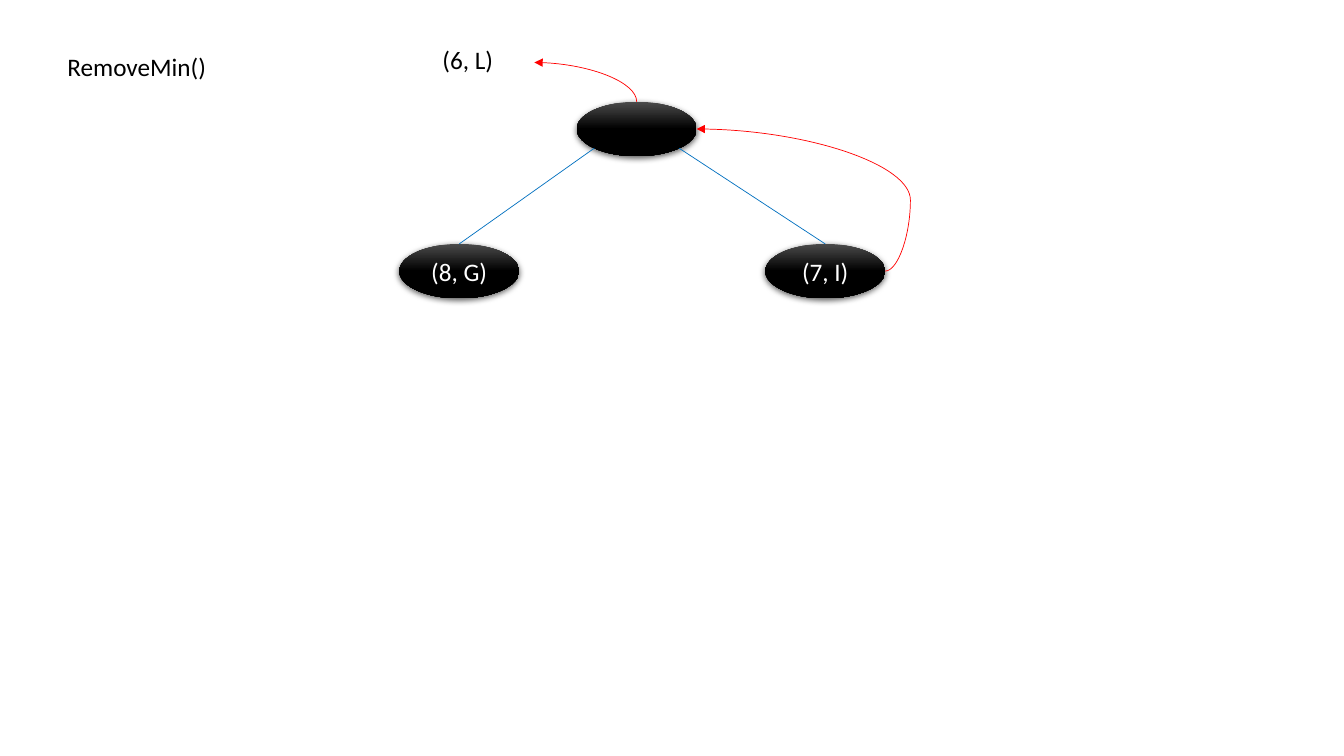
from pptx import Presentation
from pptx.dml.color import RGBColor
from pptx.enum.shapes import MSO_CONNECTOR, MSO_SHAPE
from pptx.enum.text import MSO_ANCHOR, MSO_AUTO_SIZE, PP_ALIGN
from pptx.oxml import parse_xml
from pptx.oxml.ns import nsdecls, qn
from pptx.util import Inches, Pt

COLOURS = {
    "text": "000000",
    "node text": "FFFFFF",
    "node top": "4B4B4B",
    "node": "000000",
    "edge": "0070C0",
    "move": "FF0000",
}
FONT = "Calibri"
NODE_WIDTH, NODE_HEIGHT = 1.19, 0.54


def add_text(text_frame, text, colour):
    """Write one run of text into the first paragraph."""
    run = text_frame.paragraphs[0].add_run()
    run.text = text
    run.font.name = FONT
    run.font.size = Pt(18)
    run.font.color.rgb = RGBColor.from_string(COLOURS[colour])


def add_label(slide, text, left, top, width, wrap):
    """Add a single-line text box."""
    box = slide.shapes.add_textbox(*map(Inches, (left, top, width, 0.4)))
    box.text_frame.word_wrap = wrap
    box.text_frame.auto_size = MSO_AUTO_SIZE.SHAPE_TO_FIT_TEXT
    add_text(box.text_frame, text, "text")


def add_node(slide, left, top, text=""):
    """Add a glossy black ellipse with its entry centred in it."""
    node = slide.shapes.add_shape(
        MSO_SHAPE.OVAL, *map(Inches, (left, top, NODE_WIDTH, NODE_HEIGHT)))
    node.line.fill.background()
    stops = "".join(
        f'<a:gs pos="{position}"><a:srgbClr val="{COLOURS[colour]}"/></a:gs>'
        for position, colour in ((0, "node top"), (50000, "node"), (100000, "node")))
    properties = node._element.spPr
    properties.find(qn("a:ln")).addprevious(parse_xml(
        f'<a:gradFill {nsdecls("a")} rotWithShape="1"><a:gsLst>{stops}</a:gsLst>'
        '<a:lin ang="5400000" scaled="0"/></a:gradFill>'))
    properties.append(parse_xml(
        f'<a:effectLst {nsdecls("a")}><a:outerShdw blurRad="{Pt(4.5)}" dist="{Pt(1.5)}"'
        ' dir="5400000" algn="ctr" rotWithShape="0"><a:srgbClr val="000000">'
        '<a:alpha val="63000"/></a:srgbClr></a:outerShdw></a:effectLst>'))
    if text:
        node.text_frame.vertical_anchor = MSO_ANCHOR.MIDDLE
        node.text_frame.paragraphs[0].alignment = PP_ALIGN.CENTER
        add_text(node.text_frame, text, "node text")


def add_line(slide, kind, start, end, colour):
    """Add a thin connector without shadow."""
    line = slide.shapes.add_connector(kind, *map(Inches, (*start, *end)))
    line.line.color.rgb = RGBColor.from_string(COLOURS[colour])
    line.line.width = Pt(0.5)
    line._element.spPr.append(parse_xml(f'<a:effectLst {nsdecls("a")}/>'))
    return line


def add_move(slide, start, end):
    """Add a curved red arrow and return its shape properties."""
    move = add_line(slide, MSO_CONNECTOR.CURVE, start, end, "move")
    properties = move._element.spPr
    properties.find(qn("a:ln")).append(
        parse_xml(f'<a:tailEnd {nsdecls("a")} type="triangle"/>'))
    return properties


def add_quarter_move(slide, start, end):
    """Add an arrow that leaves upwards and bends to the left."""
    middle_x, middle_y = (start[0] + end[0]) / 2, (start[1] + end[1]) / 2
    half_width, half_height = (start[1] - end[1]) / 2, (start[0] - end[0]) / 2
    properties = add_move(slide, (middle_x - half_width, middle_y + half_height),
                          (middle_x + half_width, middle_y - half_height))
    properties.find(qn("a:xfrm")).set("rot", "16200000")
    properties.find(qn("a:prstGeom")).set("prst", "curvedConnector2")


def add_side_move(slide, start, end, bulge):
    """Add an arrow that swings out to the right by a share of its width."""
    geometry = add_move(slide, start, end).find(qn("a:prstGeom"))
    for adjustments in geometry.findall(qn("a:avLst")):
        geometry.remove(adjustments)
    geometry.append(parse_xml(
        f'<a:avLst {nsdecls("a")}><a:gd name="adj1" fmla="val {round(-bulge * 100000)}"/>'
        '</a:avLst>'))


def add_heap(slide, left, top):
    """Draw the heap with its emptied root and the two moves."""
    root_left, child_top = left + 1.76, top + 1.41
    root_middle = root_left + NODE_WIDTH / 2
    right_child = left + 3.63
    half = NODE_HEIGHT / 2
    add_node(slide, root_left, top)
    for child_left, text, side in ((left, "(8, G)", -1), (right_child, "(7, I)", 1)):
        add_node(slide, child_left, child_top, text)
        add_line(slide, MSO_CONNECTOR.STRAIGHT, (root_middle + side * 0.42, top + 0.46),
                 (child_left + NODE_WIDTH / 2, child_top), "edge")
    add_label(slide, "(6, L)", left + 0.33, top - 0.62, 0.71, False)
    add_quarter_move(slide, (root_middle, top), (left + 1.34, top - 0.39))
    add_side_move(slide, (right_child + NODE_WIDTH, child_top + half),
                  (root_left + NODE_WIDTH, top + half), 0.134)


def main():
    """Build the slide and save it."""
    presentation = Presentation()
    presentation.slide_width, presentation.slide_height = Inches(13.33), Inches(7.5)
    slide = presentation.slides.add_slide(presentation.slide_layouts[6])
    add_label(slide, "RemoveMin()", 0.57, 0.46, 1.62, True)
    add_heap(slide, 3.96, 1.01)
    presentation.save("out.pptx")


if __name__ == "__main__":
    main()
